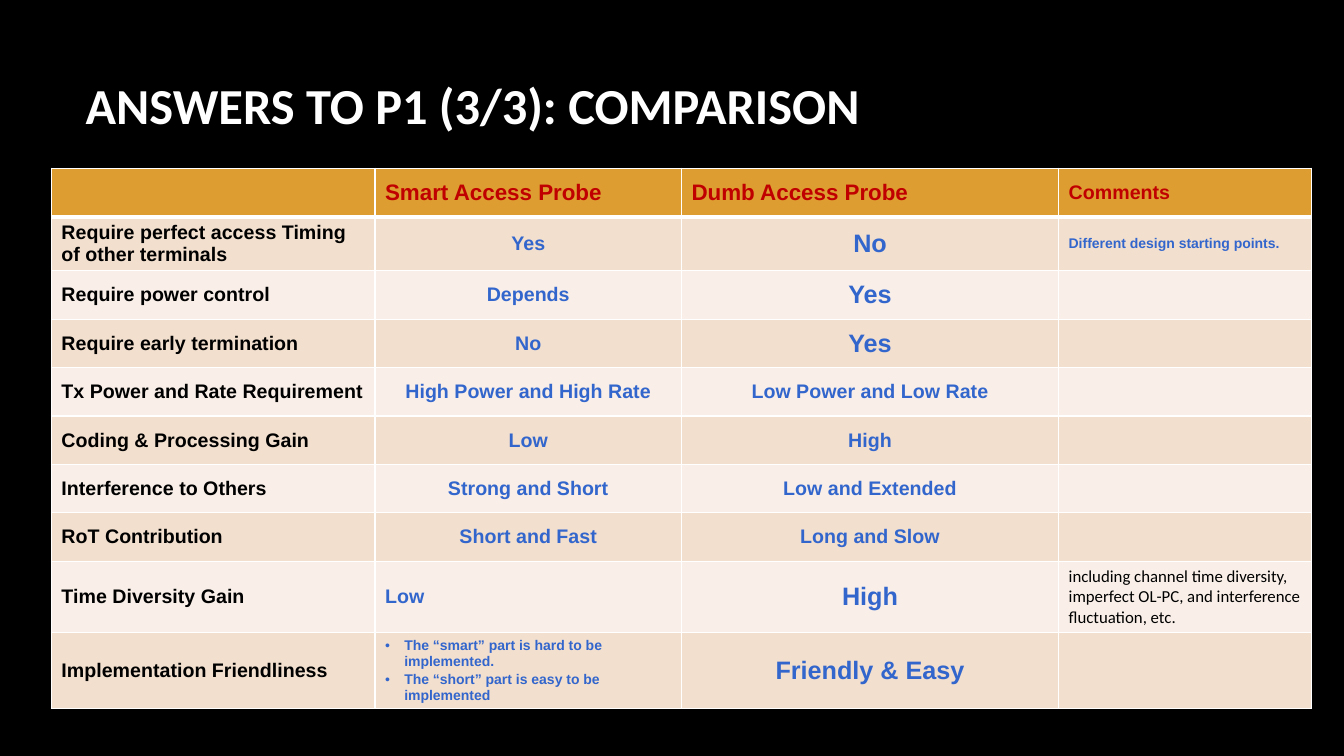
from dataclasses import dataclass

from lxml.etree import SubElement
from pptx import Presentation
from pptx.dml.color import RGBColor
from pptx.enum.text import MSO_ANCHOR, PP_ALIGN
from pptx.oxml import parse_xml
from pptx.oxml.ns import nsdecls, qn
from pptx.util import Inches, Pt


@dataclass(frozen=True)
class Theme:
    background: str = "000000"
    title: str = "FFFFFF"
    border: str = "FFFFFF"
    header_fill: str = "DD9D31"
    header_text: str = "C00000"
    bands: tuple = ("F2DFCE", "F9EFE8")
    label: str = "000000"
    answer: str = "3366CC"
    title_font: str = "Calibri"
    table_font: str = "Arial"
    title_size: int = 36
    strong_size: int = 18
    header_size: int = 16
    body_size: int = 14
    comment_size: int = 12
    small_size: int = 10


THEME = Theme()
COLUMN_WIDTHS = (3.21, 3.04, 3.74, 2.51)
ROW_HEIGHT = 0.48
HEADERS = ("", "Smart Access Probe", "Dumb Access Probe", "Comments")

# Criterion, smart probe, dumb probe, whether the dumb answer is emphasised
ANSWERS = (
    ("Require perfect access Timing of other terminals", "Yes", "No", True),
    ("Require power control", "Depends", "Yes", True),
    ("Require early termination", "No", "Yes", True),
    ("Tx Power and Rate Requirement", "High Power and High Rate",
     "Low Power and Low Rate", False),
    ("Coding & Processing Gain", "Low", "High", False),
    ("Interference to Others", "Strong and Short", "Low and Extended", False),
    ("RoT Contribution", "Short and Fast", "Long and Slow", False),
    ("Time Diversity Gain", "Low", "High", True),
    ("Implementation Friendliness",
     ("The “smart” part is hard to be implemented.",
      "The “short” part is easy to be implemented"),
     "Friendly & Easy", True),
)
TIMING_COMMENT = "Different design starting points."
DIVERSITY_COMMENT = ("including channel time diversity, imperfect OL-PC, "
                     "and interference fluctuation, etc.")
DIVERSITY_ROW = 8


def style_font(font, size, color, name=THEME.table_font, bold=True):
    font.name = name
    font.size = Pt(size)
    font.bold = bold
    font.color.rgb = RGBColor.from_string(color)


def space_before(paragraph, percent):
    properties = paragraph._p.get_or_add_pPr()
    properties.insert(0, parse_xml(
        f'<a:spcBef {nsdecls("a")}><a:spcPct val="{percent * 1000}"/></a:spcBef>'))


def add_bullet(paragraph):
    properties = paragraph._p.get_or_add_pPr()
    indent = Inches(0.19)
    properties.set("marL", str(indent))
    properties.set("indent", str(-indent))
    SubElement(properties, qn("a:buFont")).set("typeface", THEME.table_font)
    SubElement(properties, qn("a:buChar")).set("char", "•")


def write_cell(cell, content, size, color, align=PP_ALIGN.LEFT):
    """Write one paragraph, or a bulleted list when content is a tuple."""
    bulleted = isinstance(content, tuple)
    frame = cell.text_frame
    for index, line in enumerate(content if bulleted else (content,)):
        paragraph = frame.add_paragraph() if index else frame.paragraphs[0]
        paragraph.text = line
        paragraph.alignment = align
        space_before(paragraph, 20)
        if bulleted:
            add_bullet(paragraph)
        style_font(paragraph.font, size, color)


def format_cell(cell, fill, top=1, bottom=1):
    cell.vertical_anchor = MSO_ANCHOR.MIDDLE
    cell.fill.solid()
    cell.fill.fore_color.rgb = RGBColor.from_string(fill)
    borders = (("lnL", 1), ("lnR", 1), ("lnT", top), ("lnB", bottom))
    for position, (side, width) in enumerate(borders):
        cell._tc.get_or_add_tcPr().insert(position, parse_xml(
            f'<a:{side} {nsdecls("a")} w="{Pt(width)}"><a:solidFill>'
            f'<a:srgbClr val="{THEME.border}"/></a:solidFill></a:{side}>'))


def add_title(slide, text):
    title = slide.shapes.title
    title.left, title.top = Inches(0.75), Inches(0.67)
    title.width, title.height = Inches(11.08), Inches(0.73)
    title.text_frame.vertical_anchor = MSO_ANCHOR.MIDDLE
    heading = title.text_frame.paragraphs[0]
    heading.text = text
    heading.alignment = PP_ALIGN.LEFT
    style_font(heading.font, THEME.title_size, THEME.title, THEME.title_font)


def add_comparison(slide):
    row_count = len(ANSWERS) + 1
    table = slide.shapes.add_table(
        row_count, len(COLUMN_WIDTHS), Inches(0.51), Inches(1.67),
        Inches(sum(COLUMN_WIDTHS)), Inches(ROW_HEIGHT * row_count)).table
    table.horz_banding = False
    for column, width in zip(table.columns, COLUMN_WIDTHS):
        column.width = Inches(width)
    for row in table.rows:
        row.height = Inches(ROW_HEIGHT)

    # Header row
    for column, header in enumerate(HEADERS):
        cell = table.cell(0, column)
        format_cell(cell, THEME.header_fill, bottom=3)
        if header:
            size = THEME.body_size if header == "Comments" else THEME.header_size
            write_cell(cell, header, size, THEME.header_text)

    # Criteria and answers
    for row, (criterion, smart, dumb, emphasised) in enumerate(ANSWERS, start=1):
        cells = [table.cell(row, column) for column in range(len(HEADERS))]
        for cell in cells:
            format_cell(cell, THEME.bands[(row - 1) % 2], top=3 if row == 1 else 1)
        write_cell(cells[0], criterion, THEME.body_size, THEME.label)
        smart_size = THEME.small_size if isinstance(smart, tuple) else THEME.body_size
        smart_align = PP_ALIGN.LEFT if row >= DIVERSITY_ROW else PP_ALIGN.CENTER
        write_cell(cells[1], smart, smart_size, THEME.answer, smart_align)
        dumb_size = THEME.strong_size if emphasised else THEME.body_size
        write_cell(cells[2], dumb, dumb_size, THEME.answer, PP_ALIGN.CENTER)

    # Comments
    write_cell(table.cell(1, 3), TIMING_COMMENT, THEME.small_size, THEME.answer)
    remark = table.cell(DIVERSITY_ROW, 3).text_frame.paragraphs[0]
    remark.text = DIVERSITY_COMMENT
    style_font(remark.font, THEME.comment_size, THEME.label, THEME.title_font, False)


def main():
    presentation = Presentation()
    presentation.slide_width = Inches(13.33)
    presentation.slide_height = Inches(7.5)
    slide = presentation.slides.add_slide(presentation.slide_layouts[5])
    slide.background.fill.solid()
    slide.background.fill.fore_color.rgb = RGBColor.from_string(THEME.background)
    add_title(slide, "ANSWERS TO P1 (3/3): COMPARISON")
    add_comparison(slide)
    presentation.save("out.pptx")


if __name__ == "__main__":
    main()
